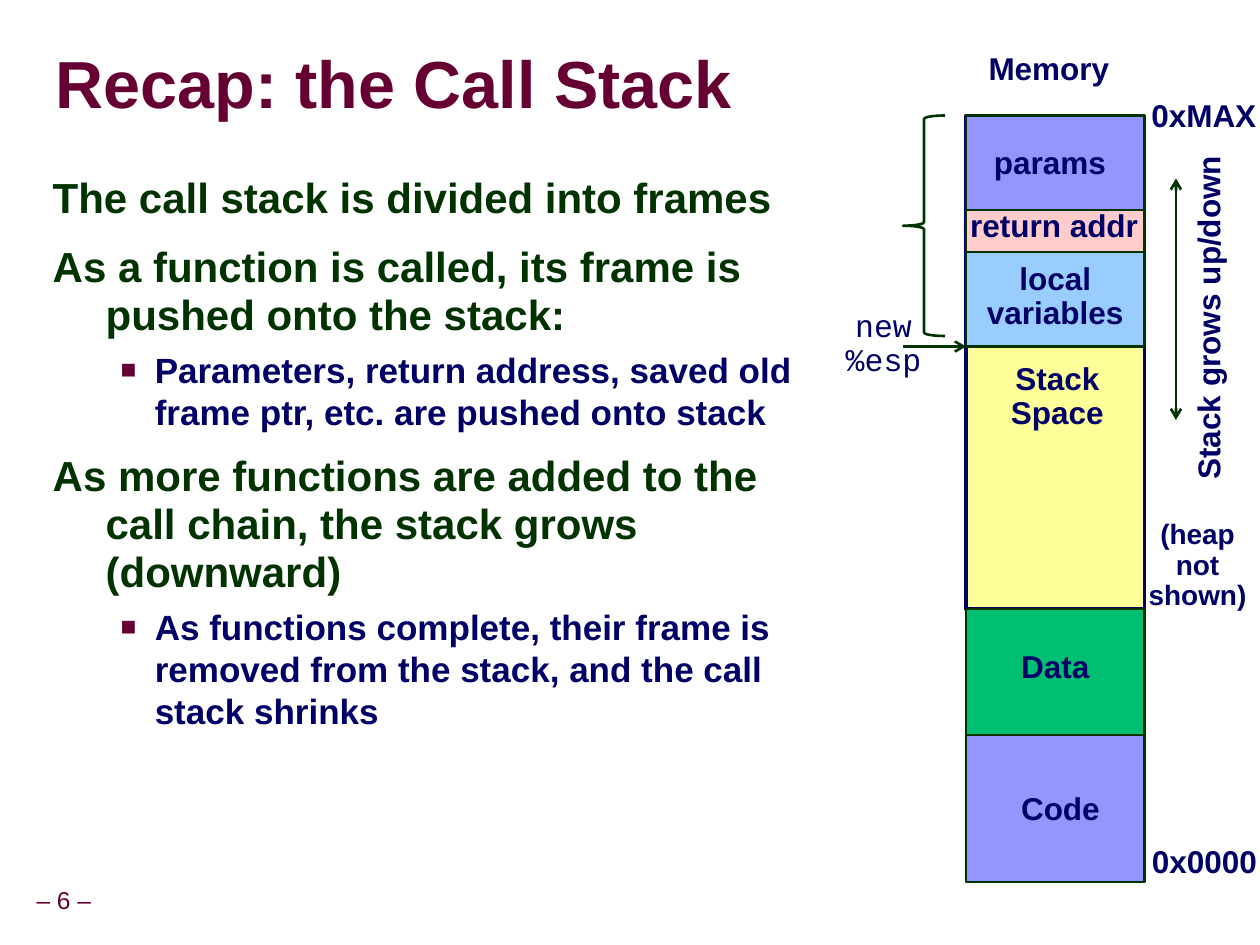
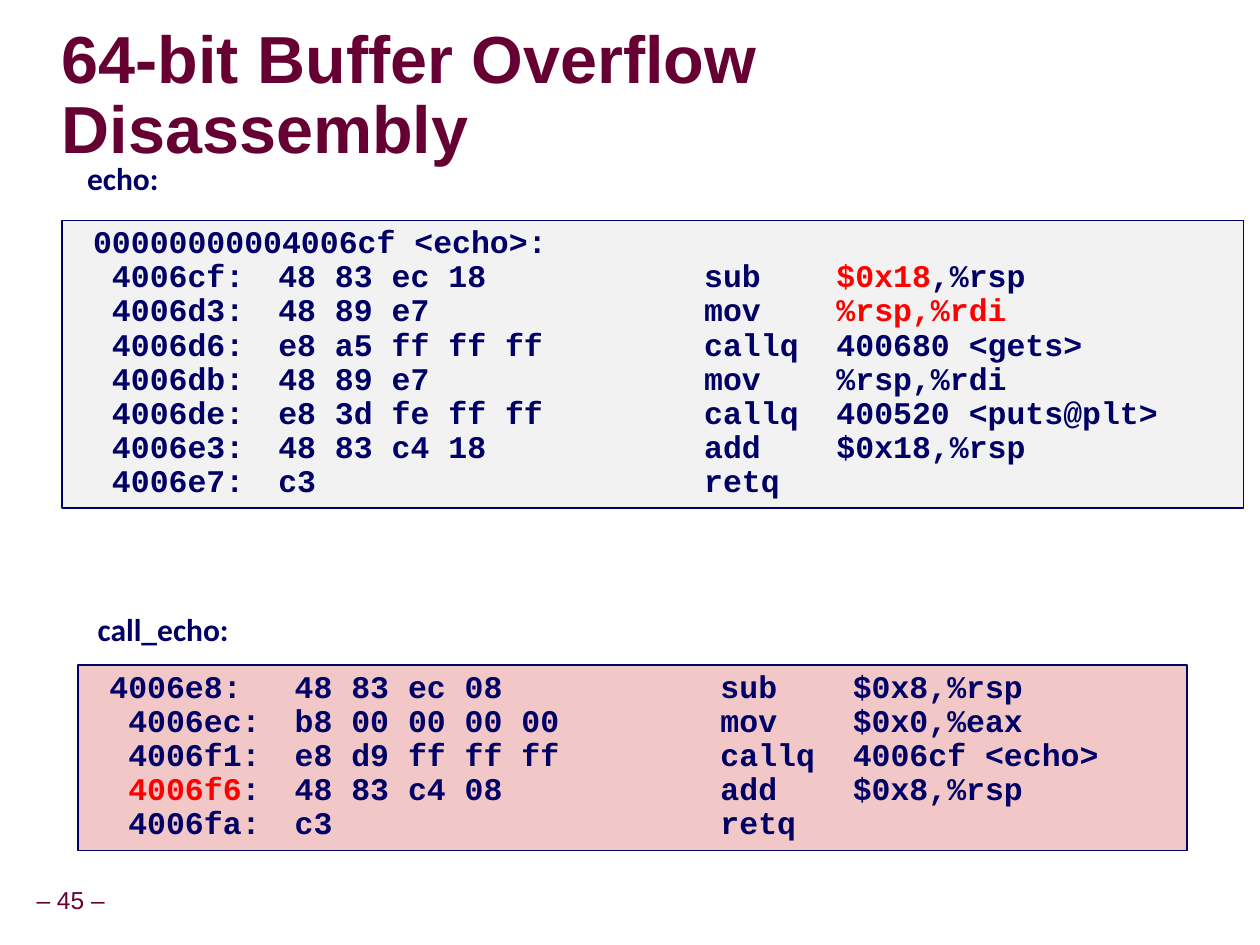
from pptx import Presentation, util as u
from pptx.dml.color import RGBColor
from pptx.enum import shapes as sh, text as tx
from pptx.oxml import parse_xml
from pptx.oxml.ns import nsdecls

WINE, GREEN, NAVY, RED = "660033", "003300", "000066", "FF0000"
W, H = 10, 7.5
CELL = 1 / 12  # grid step of the memory diagram, in inches
LEFT, MID = tx.PP_ALIGN.LEFT, tx.PP_ALIGN.CENTER


# ---- Shared helpers ----
def rgb(code):
    return RGBColor.from_string(code)


def inches(*sizes):
    return [u.Inches(n) for n in sizes]


def xml(tag, attrs="", inner=""):
    return parse_xml(f"<a:{tag} {nsdecls('a')} {attrs}>{inner}</a:{tag}>")


def add_run(para, words, size, color, font="Arial", bold=True):
    run = para.add_run()
    run.text = words
    run.font.size, run.font.name, run.font.bold = u.Pt(size), font, bold
    run.font.color.rgb = rgb(color)
    return run


def set_frame(frame, pads=(0.1, 0.05), wrap=True, anchor=tx.MSO_ANCHOR.TOP):
    frame.auto_size = tx.MSO_AUTO_SIZE.NONE
    frame.word_wrap, frame.vertical_anchor = wrap, anchor
    frame.margin_left = frame.margin_right = u.Inches(pads[0])
    frame.margin_top = frame.margin_bottom = u.Inches(pads[1])


def next_para(frame, first, space=0.9, align=LEFT):
    para = frame.paragraphs[0] if first else frame.add_paragraph()
    para.line_spacing, para.alignment = space, align
    return para


def label(slide, words, box, size=18, color=NAVY, font="Arial", bold=True,
          align=MID):
    """Unwrapped text, one paragraph for each line."""
    note = slide.shapes.add_textbox(*inches(*box))
    set_frame(note.text_frame, wrap=False)
    for i, line in enumerate(words.split("\n")):
        para = next_para(note.text_frame, i == 0, align=align)
        add_run(para, line, size, color, font, bold)
    return note


def block(slide, kind, box, fill, line, width):
    shape = slide.shapes.add_shape(kind, *inches(*box))
    shape.shadow.inherit = False
    if fill:
        shape.fill.solid()
        shape.fill.fore_color.rgb = rgb(fill)
    else:
        shape.fill.background()
    shape.line.color.rgb, shape.line.width = rgb(line), u.Pt(width)
    return shape


def arrow(slide, start, end, ends):
    link = slide.shapes.add_connector(
        sh.MSO_CONNECTOR.STRAIGHT, *inches(*start, *end))
    link.line.color.rgb, link.line.width = rgb(GREEN), u.Pt(1.5)
    for tag in ends:
        link.line._get_or_add_ln().append(xml(tag, 'type="arrow"'))
    link._element.spPr.append(xml("effectLst"))


def new_slide(deck, words, box, page):
    """Slide with a shadowed title and its page number."""
    slide = deck.slides.add_slide(deck.slide_layouts[5])
    title = slide.shapes.title
    title.left, title.top, title.width, title.height = inches(*box)
    set_frame(title.text_frame, (0, 0), anchor=tx.MSO_ANCHOR.MIDDLE)
    run = add_run(next_para(title.text_frame, True, 0.87), words, 38, WINE)
    shade = xml("effectLst", inner=(
        '<a:outerShdw blurRad="38100" dist="38100" dir="2700000" algn="tl">'
        '<a:srgbClr val="C0C0C0"/></a:outerShdw>'))
    run.font.fill._xPr.find(
        "{http://schemas.openxmlformats.org/drawingml/2006/main}solidFill"
    ).addnext(shade)

    foot = label(slide, f"– {page} –", (0.24, 7, 0.66, 0.31), 14, WINE,
                 bold=False, align=LEFT)
    set_frame(foot.text_frame, (0.05, 0.05), False, tx.MSO_ANCHOR.MIDDLE)
    return slide


# ---- Outline of points ----
def outline(slide, items, box):
    frame = slide.shapes.add_textbox(*inches(*box)).text_frame
    set_frame(frame)
    for i, (level, words) in enumerate(items):
        para = next_para(frame, i == 0, 1.0 if level else 0.95)
        size, color, gap, left, hang = (
            (20, NAVY, 5, 0.81, 0.27) if level
            else (24, GREEN, 12, 0.42, 0.42))
        para.space_before = u.Pt(gap)
        props = para._p.get_or_add_pPr()
        props.set("marL", str(u.Inches(left)))
        props.set("indent", str(-u.Inches(hang)))
        if level:
            props.append(xml("buClr", inner=f'<a:srgbClr val="{WINE}"/>'))
            props.append(xml("buSzPct", 'val="75000"'))
            props.append(xml("buFont", 'typeface="Arial"'))
            props.append(xml("buChar", 'char="■"'))
        add_run(para, words, size, color)


# ---- Memory column: lengths in cells from its top left corner ----
def memory(slide, left, top):
    wide = 17

    def area(x, y, w, h):
        return left + x * CELL, top + y * CELL, w * CELL, h * CELL

    def spot(x, y):
        return area(x, y, 0, 0)[:2]

    rect = sh.MSO_SHAPE.RECTANGLE
    bands = [  # first row, rows, fill, line, line width
        (0, 47, "FFFF99", NAVY, 2),
        (47, 12, "00BF73", GREEN, 1.5),
        (59, 14, "9595FF", GREEN, 1.5),
        (0, 9, "9595FF", GREEN, 1.5),
        (9, 4, "FFCCCC", GREEN, 1.5),
        (13, 9, "99CCFF", GREEN, 1.5),
    ]
    for row, rows, fill, line, width in bands:
        block(slide, rect, area(0, row, wide, rows), fill, line, width)

    names = [  # shift from the middle, row, text
        (-0.6, -6.5, "Memory"), (-0.5, 2.4, "params"),
        (-0.1, 8.4, "return addr"), (0, 13.5, "local\nvariables"),
        (0.2, 23, "Stack\nSpace"), (0, 50.4, "Data"), (0.5, 64, "Code"),
    ]
    for shift, row, words in names:
        lines = words.count("\n") + 1
        label(slide, words, area(shift, row, wide, 1.3 + 3.25 * lines))

    # Frame brace and stack pointer
    brace = block(slide, sh.MSO_SHAPE.LEFT_BRACE, area(-6, 0, 4, 21),
                  None, GREEN, 1.5)
    brace.adjustments[0], brace.adjustments[1] = 0.083, 0.5
    label(slide, " new\n %esp", area(-14.5, 18, 11.5, 7.8),
          font="Courier New", bold=False)
    arrow(slide, spot(-6, 22), spot(0, 22), ["tailEnd"])

    # Addresses and notes on the right
    label(slide, "0xMAX", area(16.3, -2, 12.7, 4.5))
    label(slide, "0x0000", area(16.4, 69, 12.6, 4.5))
    label(slide, "(heap\nnot\nshown)", area(16.1, 38, 11.9, 10), 16)
    arrow(slide, spot(20, 6), spot(20, 29), ["headEnd", "tailEnd"])
    grows = label(slide, "Stack grows up/down", area(6.5, 17, 33.6, 4.5))
    grows.rotation = 270


# ---- Code listing: fields split by "|", red parts between "*" ----
STOPS = (0.3, 1.62, 5, 6.05)


def listing(slide, name, rows, name_box, box, fill):
    label(slide, name, name_box, font="Calibri")
    panel = block(slide, sh.MSO_SHAPE.RECTANGLE, box, fill, NAVY, 1)
    set_frame(panel.text_frame)
    stops = "".join(f'<a:tab pos="{u.Inches(n)}" algn="l"/>' for n in STOPS)
    for i, row in enumerate(rows):
        para = next_para(panel.text_frame, i == 0)
        para._p.get_or_add_pPr().append(xml("tabLst", inner=stops))
        for j, part in enumerate(row.replace("|", "\t").split("*")):
            if part:
                add_run(para, part, 18, RED if j % 2 else NAVY, "Courier New")


# ---- Slides ----
POINTS = [
    (0, "The call stack is divided into frames"),
    (0, "As a function is called, its frame is pushed onto the stack:"),
    (1, "Parameters, return address, saved old frame ptr, etc. are pushed "
        "onto stack"),
    (0, "As more functions are added to the call chain, the stack grows "
        "(downward)"),
    (1, "As functions complete, their frame is removed from the stack, and "
        "the call stack shrinks"),
]
ECHO = [
    " 00000000004006cf <echo>:",
    "|4006cf:|48 83 ec 18|sub|*$0x18*,%rsp",
    "|4006d3:|48 89 e7|mov|*%rsp,%rdi*",
    "|4006d6:|e8 a5 ff ff ff|callq|400680 <gets>",
    "|4006db:|48 89 e7|mov|%rsp,%rdi",
    "|4006de:|e8 3d fe ff ff|callq|400520 <puts@plt>",
    "|4006e3:|48 83 c4 18|add|$0x18,%rsp",
    "|4006e7:|c3|retq",
]
CALL = [
    " 4006e8:|48 83 ec 08|sub|$0x8,%rsp",
    "|4006ec:|b8 00 00 00 00|mov|$0x0,%eax",
    "|4006f1:|e8 d9 ff ff ff|callq|4006cf <echo>",
    "|*4006f6*:|48 83 c4 08|add|$0x8,%rsp",
    "|4006fa:|c3|retq",
]

deck = Presentation()
deck.slide_width, deck.slide_height = inches(W, H)

stack = new_slide(deck, "Recap: the Call Stack", (0.44, 0.27, 9.53, 0.85), 6)
outline(stack, POINTS, (0.32, 1.34, 6.35, 5.71))
memory(stack, 92 * CELL, 11 * CELL)

code = new_slide(deck, "64-bit Buffer Overflow Disassembly",
                 (0.49, 0.46, 7.76, 0.63), 45)
listing(code, "echo:", ECHO, (0.49, 1.25, 0.97, 0.5),
        (0.49, 1.75, 9.38, 2.28), "F2F2F2")
listing(code, "call_echo:", CALL, (0.49, 4.83, 1.61, 0.5),
        (0.62, 5.28, 8.8, 1.47), "F1C7C7")

deck.save("out.pptx")
